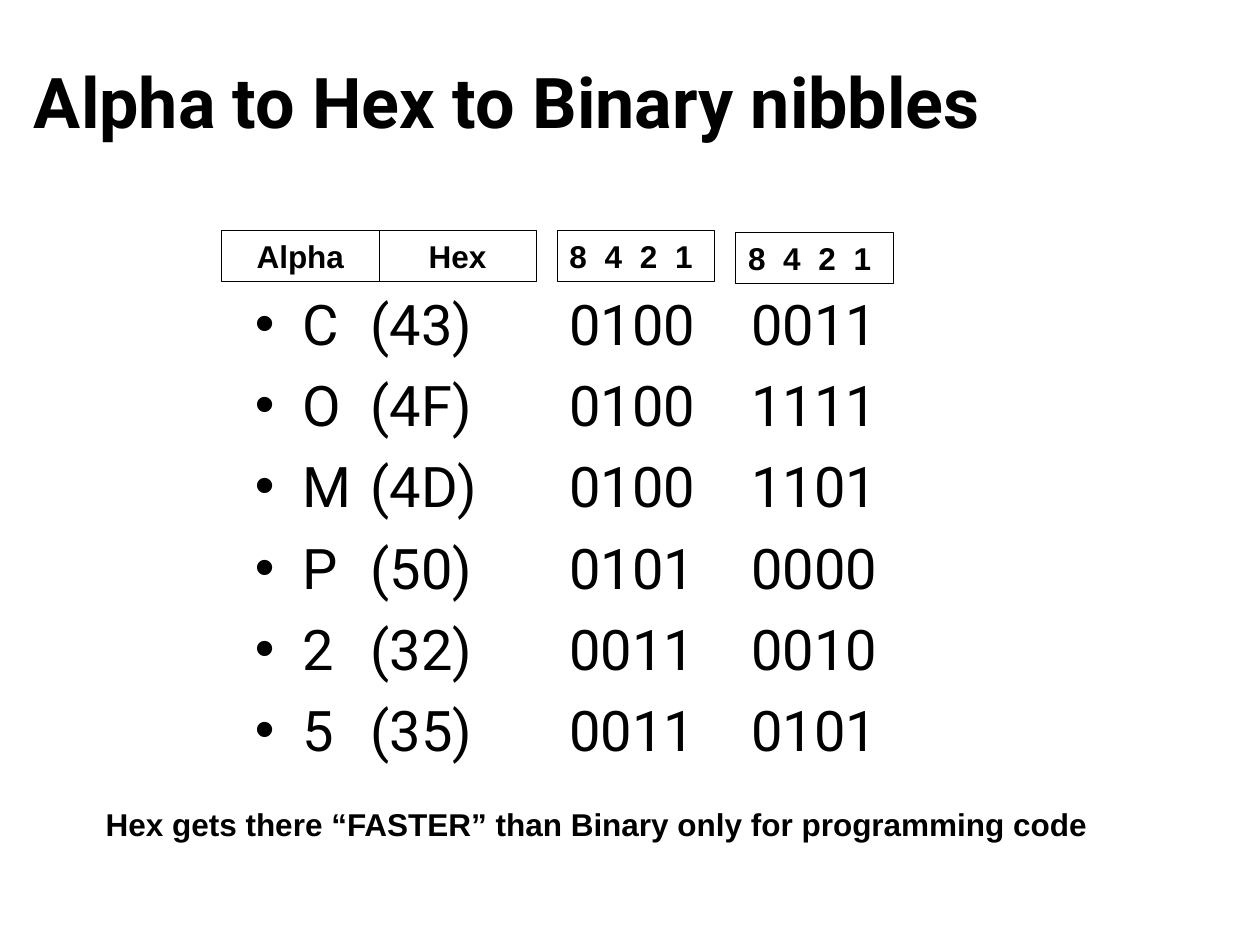
import pptx
import pptx.dml.color
import pptx.enum.shapes
import pptx.enum.text
import pptx.util
from dataclasses import dataclass
from lxml import etree
from pptx.oxml.ns import qn

Cm = pptx.util.Cm
Pt = pptx.util.Pt
ALIGN = pptx.enum.text.PP_ALIGN


@dataclass(frozen=True)
class Theme:
    ink: pptx.dml.color.RGBColor = pptx.dml.color.RGBColor(0, 0, 0)
    main_font: str = "Roboto"
    label_font: str = "Arial"
    title_size: int = 40
    code_size: int = 32
    label_size: int = 18
    row_gap: int = 8
    border: float = 0.25


THEME = Theme()

ROWS = [
    ("C", "43", "0100", "0011"),
    ("O", "4F", "0100", "1111"),
    ("M", "4D", "0100", "1101"),
    ("P", "50", "0101", "0000"),
    ("2", "32", "0011", "0010"),
    ("5", "35", "0011", "0101"),
]
PLACE_VALUES = "8\t4\t2\t1"
LABEL_WIDTH, LABEL_HEIGHT = 3.17, 1.02


def set_font(paragraph, name, size, bold=False):
    font = paragraph.font
    font.name, font.size, font.bold = name, Pt(size), bold
    font.color.rgb = THEME.ink


def add_bullet(paragraph, indent):
    props = paragraph._p.get_or_add_pPr()
    props.set("marL", str(Cm(indent)))
    props.set("indent", str(-Cm(indent)))
    etree.SubElement(props, qn("a:buFont"), typeface=THEME.label_font)
    etree.SubElement(props, qn("a:buChar"), char="•")


def add_tabs(paragraph, stops):
    props = paragraph._p.get_or_add_pPr()
    tab_list = etree.SubElement(props, qn("a:tabLst"))
    for stop in stops:
        etree.SubElement(tab_list, qn("a:tab"), pos=str(Cm(stop)), algn="l")


def add_text_box(slide, left, top, width, height):
    frame = slide.shapes.add_textbox(Cm(left), Cm(top), Cm(width), Cm(height)).text_frame
    frame.word_wrap = True
    return frame


def place_title(slide, left, top, width, height):
    title = slide.shapes.title
    title.left, title.top = Cm(left), Cm(top)
    title.width, title.height = Cm(width), Cm(height)
    frame = title.text_frame
    frame.text = "Alpha to Hex to Binary nibbles"
    frame.auto_size = pptx.enum.text.MSO_AUTO_SIZE.NONE
    frame.vertical_anchor = pptx.enum.text.MSO_ANCHOR.MIDDLE
    frame.paragraphs[0].alignment = ALIGN.LEFT
    set_font(frame.paragraphs[0], THEME.main_font, THEME.title_size, bold=True)


def add_column_label(slide, left, top, text, alignment, stops=()):
    box = slide.shapes.add_shape(
        pptx.enum.shapes.MSO_SHAPE.RECTANGLE,
        Cm(left), Cm(top), Cm(LABEL_WIDTH), Cm(LABEL_HEIGHT))
    box.shadow.inherit = False
    box.fill.background()
    box.line.color.rgb = THEME.ink
    box.line.width = Pt(THEME.border)
    frame = box.text_frame
    frame.word_wrap = True
    frame.vertical_anchor = pptx.enum.text.MSO_ANCHOR.TOP
    label = frame.paragraphs[0]
    label.text, label.alignment = text, alignment
    if stops:
        add_tabs(label, stops)
    set_font(label, THEME.label_font, THEME.label_size, bold=True)


def add_rows(slide, left, top, width, height, lines, stops, bullet_indent=0):
    frame = add_text_box(slide, left, top, width, height)
    for index, line in enumerate(lines):
        row = frame.add_paragraph() if index else frame.paragraphs[0]
        row.text = line
        if bullet_indent:
            add_bullet(row, bullet_indent)
        add_tabs(row, stops)
        if index:
            row.space_before = Pt(THEME.row_gap)
        set_font(row, THEME.main_font, THEME.code_size)


def add_conversion(slide, left, top):
    # Column labels
    nibble_left = left + 6.76
    digit_stops = [0.71 * n for n in (1, 2, 3)]
    add_column_label(slide, left, top, "Alpha", ALIGN.CENTER)
    add_column_label(slide, left + LABEL_WIDTH, top, "Hex", ALIGN.CENTER)
    add_column_label(slide, nibble_left, top, PLACE_VALUES, ALIGN.LEFT, digit_stops)
    add_column_label(slide, nibble_left + 3.6, top + 0.04, PLACE_VALUES,
                     ALIGN.LEFT, digit_stops)

    # Characters with their hex codes; one stop counts from the text, one from the box
    indent, hex_stop = 0.96, 1.37
    rows_top, rows_height = top + 1.06, 11.43
    add_rows(slide, left + 0.42, rows_top, 5.28, rows_height,
             [f"{char}\t({code})" for char, code, _, _ in ROWS],
             [hex_stop, indent + hex_stop], indent)

    # Binary nibbles
    add_rows(slide, nibble_left, rows_top, 8.69, rows_height,
             [f"{high}\t{low}" for _, _, high, low in ROWS], [3.67])


def add_remark(slide, left, top, width, height):
    frame = add_text_box(slide, left, top, width, height)
    frame.text = "Hex gets there “FASTER” than Binary only for programming code"
    set_font(frame.paragraphs[0], THEME.label_font, THEME.label_size, bold=True)


def main():
    deck = pptx.Presentation()
    deck.slide_width, deck.slide_height = Cm(25.4), Cm(19.05)
    slide = deck.slides.add_slide(deck.slide_layouts.get_by_name("Title Only"))
    place_title(slide, 0.43, 0.43, 22.86, 3.18)
    add_conversion(slide, 4.47, 4.65)
    add_remark(slide, 1.88, 16.1, 21.16, 1.02)
    deck.save("out.pptx")


if __name__ == "__main__":
    main()
